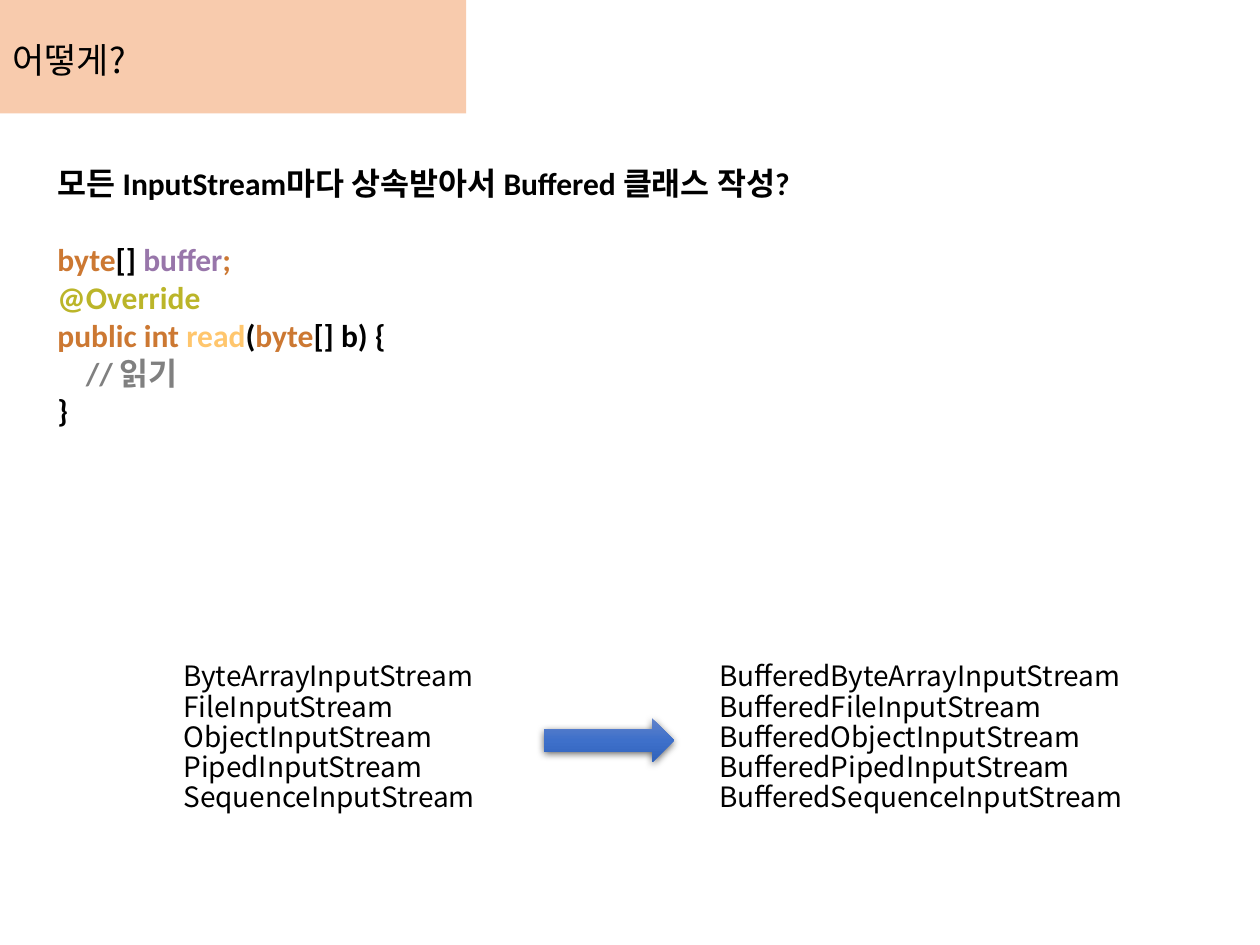
from copy import deepcopy

from lxml import etree
from pptx import Presentation
from pptx.dml.color import RGBColor
from pptx.enum.shapes import MSO_SHAPE
from pptx.enum.text import MSO_ANCHOR
from pptx.oxml import parse_xml
from pptx.oxml.ns import qn
from pptx.util import Cm, Pt

RECTANGLE, RIGHT_ARROW = MSO_SHAPE.RECTANGLE, MSO_SHAPE.RIGHT_ARROW
TOP, BOTTOM = MSO_ANCHOR.TOP, MSO_ANCHOR.BOTTOM
SANS, CODE = "Noto Sans CJK KR", "Calibri"
COLORS = {
    "text": "000000", "band": "F8CBAD",
    "keyword": "CC7832", "field": "9876AA", "annotation": "BBB529",
    "method": "FFC66D", "comment": "808080",
    "arrow_top": "6183CB", "arrow_middle": "3E70CA", "arrow_bottom": "3062BB",
}
STREAMS = ["ByteArrayInputStream", "FileInputStream", "ObjectInputStream",
           "PipedInputStream", "SequenceInputStream"]
QUESTION = [("모든 InputStream마다 상속받아서 Buffered 클래스 작성?", "text")]
CODE_LINES = [
    [("byte", "keyword"), ("[] ", "text"), ("buffer", "field"), (";", "keyword")],
    [("@Override", "annotation")],
    [("public int ", "keyword"), ("read", "method"), ("(", "text"),
     ("byte", "keyword"), ("[] b) {", "text")],
    [("// 읽기", "comment")],
    [("}", "text")],
]


def rgb(name):
    """Return the named colour."""
    return RGBColor.from_string(COLORS[name])


def add_text(slide, box, lines, size, font=SANS, bold=False, anchor=TOP, spacing=None):
    """Add a text box with one paragraph per list of (text, colour) runs."""
    frame = slide.shapes.add_textbox(*box).text_frame
    frame.word_wrap = True
    frame.vertical_anchor = anchor
    for number, runs in enumerate(lines):
        paragraph = frame.add_paragraph() if number else frame.paragraphs[0]
        paragraph.line_spacing = spacing
        for text, color in runs:
            run = paragraph.add_run()
            run.text = text
            run.font.size, run.font.bold, run.font.name = Pt(size), bold, font
            run.font.color.rgb = rgb(color)
            east_asian = etree.SubElement(run.font._element, qn("a:ea"))
            east_asian.set("typeface", SANS)
    return frame


def add_header(slide, left, top, width, height):
    """Draw the title band and its heading."""
    band = slide.shapes.add_shape(RECTANGLE, left, top, width, height)
    band.shadow.inherit = False
    band.fill.solid()
    band.fill.fore_color.rgb = rgb("band")
    band.line.fill.background()
    add_text(slide, (left, top + Cm(0.53), Cm(6.02), Cm(1.22)),
             [[("어떻게?", "text")]], 20, anchor=BOTTOM, spacing=1.5)


def add_code(slide, left, top, width, height):
    """Write the question followed by the code sample."""
    frame = add_text(slide, (left, top, width, height), [QUESTION] + CODE_LINES,
                     18, font=CODE, bold=True)
    frame.paragraphs[0].space_after = Pt(22)
    comment = frame.paragraphs[CODE_LINES.index([("// 읽기", "comment")]) + 1]
    comment._p.get_or_add_pPr().set("marL", str(Cm(0.57)))


def add_arrow(slide, left, top, width, height):
    """Draw the shaded arrow between the two lists."""
    arrow = slide.shapes.add_shape(RIGHT_ARROW, left, top, width, height)
    arrow.line.fill.background()
    arrow.fill.gradient()
    arrow.fill.gradient_angle = 270
    first = arrow.fill._xPr.find(".//" + qn("a:gs"))
    first.addnext(deepcopy(first))
    shades = ("arrow_top", "arrow_middle", "arrow_bottom")
    for number, (stop, shade) in enumerate(zip(arrow.fill.gradient_stops, shades)):
        stop.position = number / 2
        stop.color.rgb = rgb(shade)
    arrow.shadow.inherit = False
    arrow._element.spPr.find(qn("a:effectLst")).append(parse_xml(
        '<a:outerShdw xmlns:a="http://schemas.openxmlformats.org/drawingml/2006/main"'
        f' blurRad="{Pt(4.5)}" dist="{Pt(1.5)}" dir="5400000" rotWithShape="0">'
        f'<a:srgbClr val="{COLORS["text"]}"><a:alpha val="63000"/></a:srgbClr>'
        '</a:outerShdw>'))


def add_stream_comparison(slide, left, top, width, height):
    """Set the streams beside their buffered versions, with an arrow between."""
    column = Cm(10.36)
    for offset, prefix in ((0, ""), (width - column, "Buffered")):
        add_text(slide, (left + offset, top, column, height),
                 [[(prefix + stream, "text")] for stream in STREAMS],
                 16, spacing=Pt(17.2))
    add_arrow(slide, left + Cm(7.52), top + Cm(1.25), Cm(2.62), Cm(0.89))


def main():
    """Build the slide and save it."""
    deck = Presentation()
    deck.slide_width, deck.slide_height = Cm(25.4), Cm(19.05)
    slide = deck.slides.add_slide(deck.slide_layouts[6])
    add_header(slide, 0, 0, Cm(9.4), Cm(2.29))
    add_stream_comparison(slide, Cm(3.45), Cm(13.23), Cm(21.16), Cm(4.39))
    add_code(slide, Cm(0.91), Cm(3.18), Cm(17.53), Cm(6.4))
    deck.save("out.pptx")


main()
